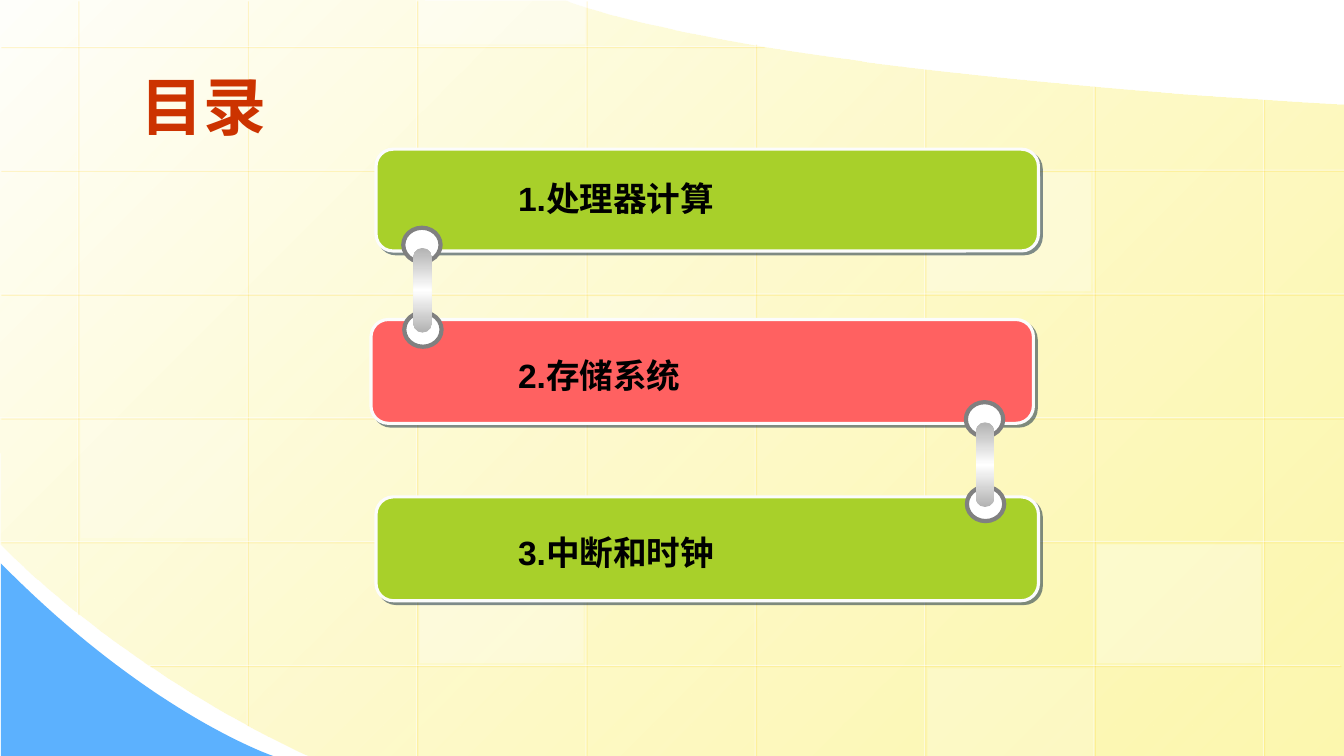
import pptx
import pptx.dml.color
import pptx.enum.shapes
import pptx.enum.text
import pptx.oxml
import pptx.oxml.ns
import pptx.util
from pptx.util import Inches

COLORS = {
    "white": "FFFFFF", "cream": "FFFFFB", "yellow": "FDF58D", "blue": "5CB1FE",
    "gold": "FFCC00", "title": "CC3300", "text": "000000", "green": "A8D02A",
    "red": "FF6161", "border": "FCFCFC", "navy": "001D3A", "ring": "808080",
    "silver": "B2B2B2",
}
SHAPES = pptx.enum.shapes.MSO_SHAPE
ANCHORS = pptx.enum.text.MSO_ANCHOR
NAMESPACE = pptx.oxml.ns.nsdecls("a")


def rgb(name):
    return pptx.dml.color.RGBColor.from_string(COLORS[name])


def color_xml(name, opacity=100):
    return f'<a:srgbClr val="{COLORS[name]}"><a:alpha val="{opacity * 1000}"/></a:srgbClr>'


def set_effects(properties, color=None, opacity=0, distance=0):
    """Append an effect list: a sharp diagonal shadow, or none."""
    shadow = ""
    if color:
        shadow = (f'<a:outerShdw blurRad="0" dist="{pptx.util.Pt(distance)}" dir="2700000" '
                  f'algn="ctr" rotWithShape="0">{color_xml(color, opacity)}</a:outerShdw>')
    return pptx.oxml.parse_xml(f"<a:effectLst {NAMESPACE}>{shadow}</a:effectLst>") if properties is None \
        else properties.append(set_effects(None, color, opacity, distance))


def set_opacity(color_format_parent, opacity):
    for color in color_format_parent.iter(pptx.oxml.ns.qn("a:srgbClr")):
        color.append(pptx.oxml.parse_xml(f'<a:alpha {NAMESPACE} val="{opacity * 1000}"/>'))


def set_gradient(shape, stops, angle):
    """Fill a shape with (position, color, opacity) stops."""
    shape.fill.gradient()
    gradient = shape.element.spPr.find(pptx.oxml.ns.qn("a:gradFill"))
    stops_xml = "".join(f'<a:gs pos="{position * 1000}">{color_xml(color, opacity)}</a:gs>'
                        for position, color, opacity in stops)
    gradient.getparent().replace(gradient, pptx.oxml.parse_xml(
        f'<a:gradFill {NAMESPACE} rotWithShape="1"><a:gsLst>{stops_xml}</a:gsLst>'
        f'<a:lin ang="{angle * 60000}" scaled="0"/></a:gradFill>'))


def add_box(slide, kind, left, top, width, height, fill=None, opacity=100,
            line=None, line_width=1, corner=None):
    shape = slide.shapes.add_shape(kind, Inches(left), Inches(top), Inches(width), Inches(height))
    shape.shadow.inherit = False
    if corner is not None:
        shape.adjustments[0] = corner
    if fill:
        shape.fill.solid()
        shape.fill.fore_color.rgb = rgb(fill)
        if opacity < 100:
            set_opacity(shape.element.spPr, opacity)
    if line:
        shape.line.color.rgb = rgb(line)
        shape.line.width = pptx.util.Pt(line_width)
    else:
        shape.line.fill.background()
    return shape


def add_text(slide, text, left, top, width, height, size=24, color="text",
             anchor=ANCHORS.TOP, indent=0, shadow=False):
    box = slide.shapes.add_textbox(Inches(left), Inches(top), Inches(width), Inches(height))
    frame = box.text_frame
    frame.word_wrap = True
    frame.vertical_anchor = anchor
    paragraph = frame.paragraphs[0]
    paragraph._p.get_or_add_pPr().set("marL", str(Inches(indent)))
    run = paragraph.add_run()
    run.text = text
    run.font.size = pptx.util.Pt(size)
    run.font.bold = True
    run.font.color.rgb = rgb(color)
    if shadow:
        set_effects(run._r.get_or_add_rPr(), "text", 40, 2)
    run.font.name = "Arial"


def add_grid_line(slide, x1, y1, x2, y2):
    line = slide.shapes.add_connector(pptx.enum.shapes.MSO_CONNECTOR.STRAIGHT,
                                      Inches(x1), Inches(y1), Inches(x2), Inches(y2))
    line.line.color.rgb = rgb("white")
    line.line.width = pptx.util.Pt(0.75)
    set_opacity(line.element.spPr, 50)
    set_effects(line.element.spPr, "gold", 34, 1.4)


def curve(start, control1, control2, end, steps=40):
    """Points along a cubic curve, without its start."""
    points = []
    for step in range(1, steps + 1):
        t = step / steps
        weights = ((1 - t) ** 3, 3 * t * (1 - t) ** 2, 3 * t ** 2 * (1 - t), t ** 3)
        points.append(tuple(sum(weight * point[axis] for weight, point
                                in zip(weights, (start, control1, control2, end)))
                            for axis in (0, 1)))
    return points


def add_outline(slide, points):
    scaled = [(Inches(x), Inches(y)) for x, y in points]
    builder = slide.shapes.build_freeform(*scaled[0])
    builder.add_line_segments(scaled[1:], close=True)
    shape = builder.convert_to_shape()
    shape.shadow.inherit = False
    shape.line.fill.background()
    return shape


def add_background(slide):
    # Yellow field and blue corner
    field = add_outline(slide, [
        (13.33, 1.04), (13.34, 7.5), (3.07, 7.5),
        *curve((3.07, 7.5), (1.15, 6.61), (-0.01, 5.39), (0, 5.39)),
        (-0.01, -0.01), (5.61, 0.01),
        *curve((5.61, 0.01), (5.61, 0.01), (7.15, 0.69), (13.33, 1.04))])
    set_gradient(field, [(0, "cream", 100), (100, "yellow", 70)], 45)
    corner = add_outline(slide, [
        (0.01, 5.59), (0.01, 7.5), (2.71, 7.5),
        *curve((2.71, 7.5), (2.71, 7.5), (1.49, 7.09), (0.01, 5.59))])
    corner.fill.solid()
    corner.fill.fore_color.rgb = rgb("blue")

    # Grid, each line ending at the edge of the field
    tops = (0, 0, 0, 0, 0.43, 0.68, 0.85, 0.98)
    bottoms = (6.09, 7.19, 7.5) + (7.52,) * 5
    for column, (top, bottom) in enumerate(zip(tops, bottoms)):
        x = 0.77 + 1.68 * column
        add_grid_line(slide, x, top, x, bottom)
    rights = (7.57, 13.35, 13.35, 13.35, 13.35, 13.29)
    lefts = (0, 0, 0, 0, 0, 1.48)
    for row, (right, left) in enumerate(zip(rights, lefts)):
        y = 0.46 + 6.14 / 5 * row
        add_grid_line(slide, right, y, left, y)

    # Lighter cells
    for left, top, width, height, opacity in (
            (5.84, 2.94, 1.65, 1.18, 25), (10.88, 5.4, 1.63, 1.18, 30),
            (0.8, 4.16, 1.65, 1.18, 20), (9.2, 6.63, 1.65, 0.87, 20),
            (4.15, 0, 1.65, 0.44, 40), (4.16, 5.4, 1.63, 1.18, 30),
            (9.19, 1.71, 1.63, 1.18, 30)):
        add_box(slide, SHAPES.RECTANGLE, left, top, width, height, "white", opacity)


def add_entry(slide, text, left, top, height, text_top, fill):
    bar = add_box(slide, SHAPES.ROUNDED_RECTANGLE, left, top, 6.57, height, fill,
                  line="border", line_width=2.25, corner=0.167)
    properties = bar.element.spPr
    properties.remove(properties.find(pptx.oxml.ns.qn("a:effectLst")))
    set_effects(properties, "navy", 50, 2.8)
    add_text(slide, text, 4.55, text_top, 4.93, 0.79, indent=0.49, shadow=True)


def add_link(slide, left, top):
    for ring_left, ring_top in ((left, top), (left + 0.01, top + 0.84)):
        add_box(slide, SHAPES.OVAL, ring_left, ring_top, 0.37, 0.34, "white",
                line="ring", line_width=3)
    rod = add_box(slide, SHAPES.ROUNDED_RECTANGLE, left + 0.1, top + 0.2, 0.18, 0.84, corner=0.5)
    set_gradient(rod, [(0, "silver", 100), (50, "white", 100), (100, "silver", 100)], 90)


def main():
    presentation = pptx.Presentation()
    presentation.slide_width = Inches(13.33)
    presentation.slide_height = Inches(7.5)
    slide = presentation.slides.add_slide(presentation.slide_layouts[6])

    add_background(slide)
    add_text(slide, "目录", 1.3, 0.54, 9, 1.01, size=45, color="title", anchor=ANCHORS.MIDDLE)

    # Contents, chained by links
    add_entry(slide, "1.处理器计算", 3.73, 1.48, 1.01, 1.72, "green")
    add_entry(slide, "2.存储系统", 3.68, 3.17, 1.03, 3.47, "red")
    add_entry(slide, "3.中断和时钟", 3.73, 4.93, 1.03, 5.23, "green")
    add_link(slide, 4, 2.26)
    add_link(slide, 9.58, 3.99)

    presentation.save("out.pptx")


if __name__ == "__main__":
    main()
